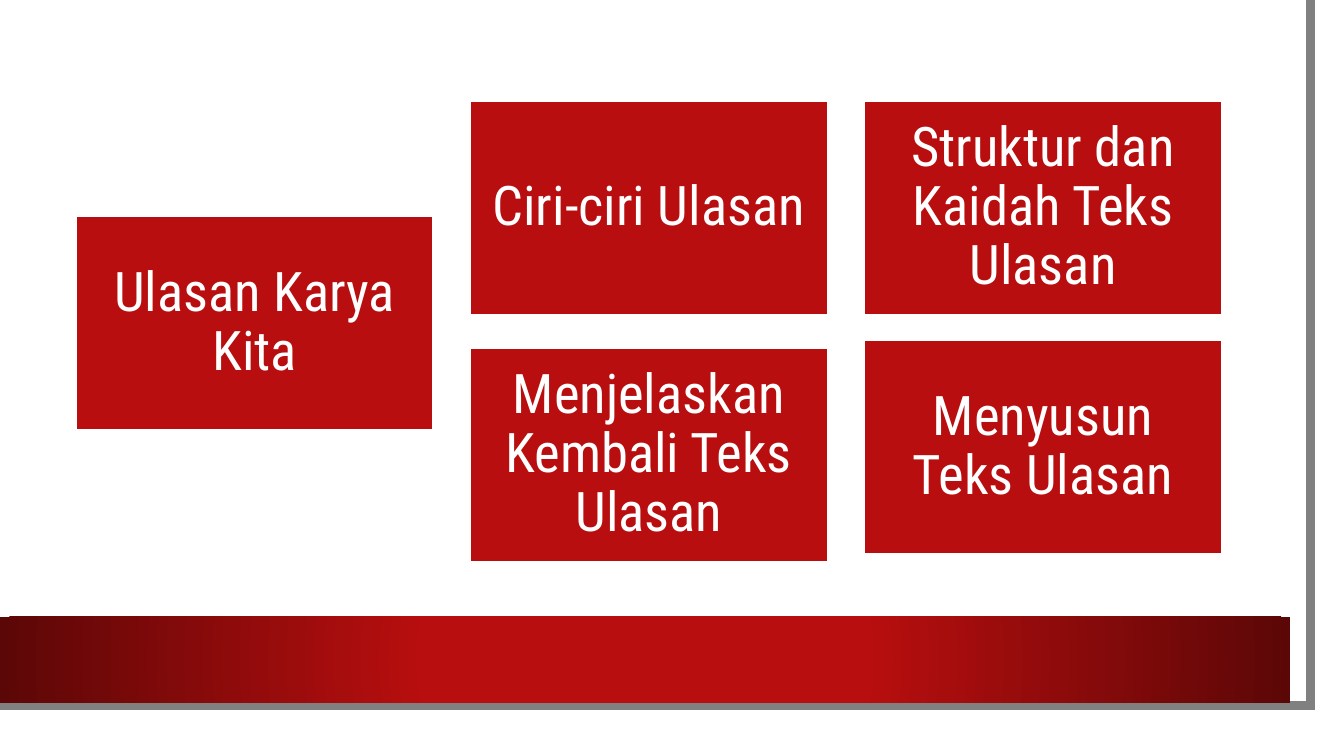
from pptx import Presentation
from pptx.dml.color import RGBColor
from pptx.enum.shapes import MSO_SHAPE as Shape
from pptx.enum.text import MSO_ANCHOR as Anchor, PP_ALIGN as Align
from pptx.oxml import parse_xml
from pptx.oxml.ns import nsdecls, qn
from pptx.util import Inches, Pt

WIDE, HIGH = 13.33, 7.5
RED, DARK, GRAY, WHITE = "B80E0F", "5C0707", "808080", "FFFFFF"
FONT = "Roboto Condensed"

# Topic cards: text, column, top
CARD_W, CARD_H, STEP = 3.55, 2.13, 3.91
TOPICS = [
    ("Menyusun Teks Ulasan", 2, 2.37),
    ("Ciri-ciri Ulasan", 1, 0),
    ("Struktur dan Kaidah Teks Ulasan", 2, 0),
    ("Ulasan Karya Kita", 0, 1.14),
    ("Menjelaskan Kembali Teks Ulasan", 1, 2.45),
]


def paint(part, color):
    part.solid()
    part.fore_color.rgb = RGBColor.from_string(color)


def add_rect(slide, box, color):
    rect = slide.shapes.add_shape(Shape.RECTANGLE, *map(Inches, box))
    rect.shadow.inherit = False
    paint(rect.fill, color)
    rect.line.fill.background()
    return rect


def add_edge(slide, box):
    """Gray line along the right and bottom of the paper."""
    left, top, width, height = box
    right, base = left + width, top + height
    pen = slide.shapes.build_freeform(right - 0.03, top, scale=Inches(1))
    pen.add_line_segments([(right, base), (left, base - 0.01)], close=False)
    edge = pen.convert_to_shape()
    edge.shadow.inherit = False
    edge.fill.background()
    paint(edge.line.fill, GRAY)
    edge.line.width = Pt(6.5)
    # Square corner
    edge.line.fill  # the line element exists once it is painted
    line = edge.element.spPr.find(qn("a:ln"))
    line.append(parse_xml(f'<a:miter {nsdecls("a")} lim="800000"/>'))


def add_band(slide, box):
    """Red band that darkens away from its middle."""
    band = add_rect(slide, box, RED)
    stops = "".join(
        f'<a:gs pos="{pos}000"><a:srgbClr val="{color}"/></a:gs>'
        for pos, color in ((34, RED), (100, DARK)))
    glow = parse_xml(
        f'<a:gradFill {nsdecls("a")} rotWithShape="1"><a:gsLst>{stops}</a:gsLst>'
        '<a:path path="circle"><a:fillToRect l="50000" t="50000" '
        'r="50000" b="50000"/></a:path></a:gradFill>')
    props = band.element.spPr
    props.replace(props.find(qn("a:solidFill")), glow)


def add_card(slide, box, text):
    card = add_rect(slide, box, RED)
    paint(card.line.fill, WHITE)
    card.line.width = Pt(1.5)
    frame = card.text_frame
    frame.word_wrap = True
    frame.vertical_anchor = Anchor.MIDDLE
    frame.margin_left = frame.margin_right = Inches(0.16)
    frame.margin_top = frame.margin_bottom = Inches(0.16)
    para = frame.paragraphs[0]
    para.text = text
    para.alignment = Align.CENTER
    para.line_spacing = 0.9
    para.font.name, para.font.size = FONT, Pt(39)
    para.font.color.rgb = RGBColor.from_string(WHITE)


def add_paper(slide, box):
    left, top, width, height = box
    add_rect(slide, box, WHITE)
    add_edge(slide, (left - 0.03, top, width - 0.22, height - 0.25))
    add_band(slide, (left, top + height - 1.15, width - 0.3, 0.85))


def add_topics(slide, left, top):
    for text, col, drop in TOPICS:
        box = (left + col * STEP, top + drop, CARD_W, CARD_H)
        add_card(slide, box, text)


def main():
    deck = Presentation()
    deck.slide_width, deck.slide_height = Inches(WIDE), Inches(HIGH)
    slide = deck.slides.add_slide(deck.slide_layouts[6])
    add_paper(slide, (0, 0, 13.1, 7.27))
    add_topics(slide, 0.75, 1)
    deck.save("out.pptx")


if __name__ == "__main__":
    main()
